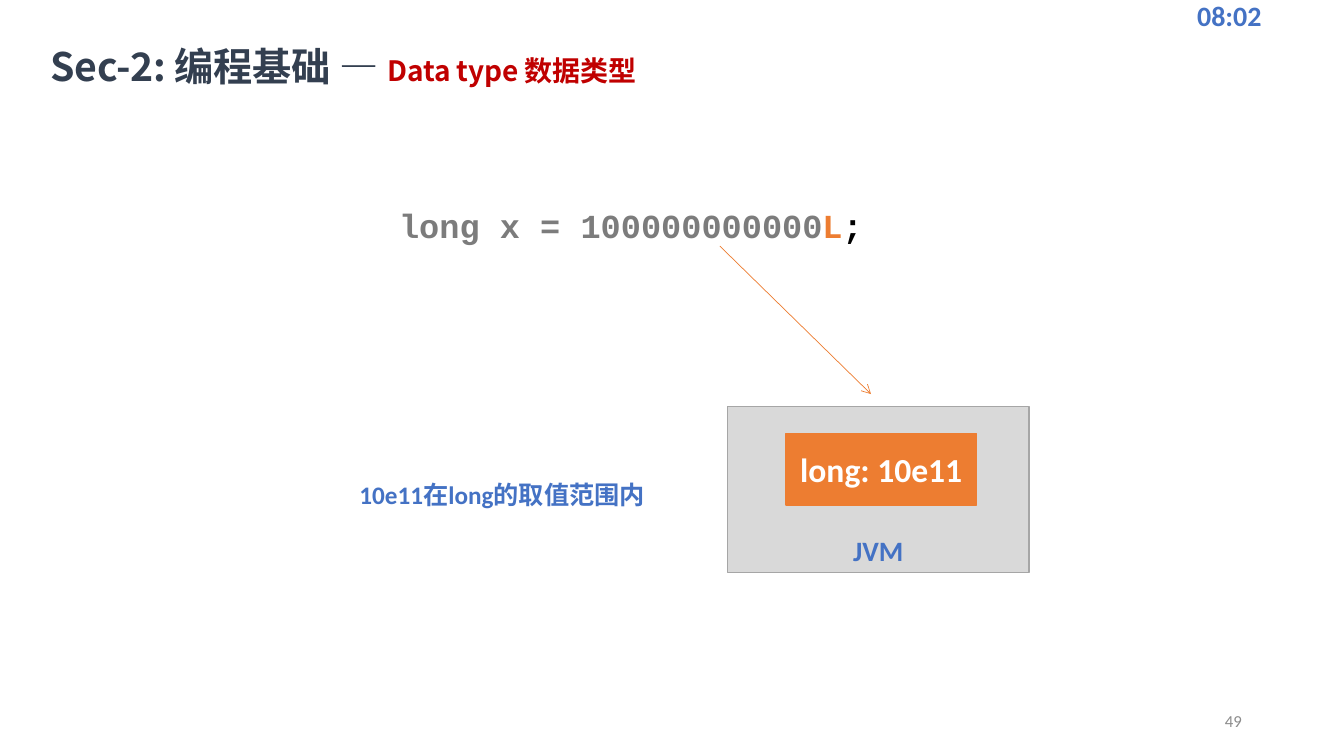
from lxml.etree import SubElement
from pptx import Presentation
from pptx.dml.color import RGBColor
from pptx.enum.shapes import MSO_CONNECTOR, MSO_SHAPE
from pptx.enum.text import MSO_ANCHOR, PP_ALIGN
from pptx.oxml.ns import qn
from pptx.util import Cm, Pt

COLORS = {
    "blue": "4472C4", "navy": "333F50", "red": "C00000", "orange": "ED7D31",
    "code": "7C7C7C", "black": "000000", "white": "FFFFFF",
    "panel": "D9D9D9", "border": "A6A6A6", "number": "8C8C8C",
}
CJK = "Noto Sans CJK SC"


def rgb(name):
    return RGBColor.from_string(COLORS[name])


def add_run(p, text, size, color, font="Calibri", bold=True):
    r = p.add_run()
    r.text = text
    r.font.size = Pt(size)
    r.font.bold = bold
    r.font.name = font
    r.font.color.rgb = rgb(color)
    SubElement(r._r.get_or_add_rPr(), qn("a:ea")).set("typeface", CJK)
    return r


def add_text(s, box, align=PP_ALIGN.LEFT, anchor=MSO_ANCHOR.TOP):
    tf = s.shapes.add_textbox(*map(Cm, box)).text_frame
    tf.word_wrap = True
    tf.vertical_anchor = anchor
    tf.paragraphs[0].alignment = align
    return tf


def add_rect(s, box, fill, line):
    sp = s.shapes.add_shape(MSO_SHAPE.RECTANGLE, *map(Cm, box))
    sp.shadow.inherit = False
    sp.fill.solid()
    sp.fill.fore_color.rgb = rgb(fill)
    sp.line.color.rgb = rgb(line)
    sp.line.width = Pt(1)
    return sp


def add_timer(s, box):
    tf = add_text(s, box, anchor=MSO_ANCHOR.MIDDLE)
    add_run(tf.paragraphs[0], "08:02", 20, "blue")


def add_page_number(s, box):
    tf = add_text(s, box, PP_ALIGN.RIGHT, MSO_ANCHOR.MIDDLE)
    add_run(tf.paragraphs[0], "49", 12, "number", bold=False)


def add_title(s, box):
    tf = add_text(s, box)
    tf.margin_left = tf.margin_right = tf.margin_top = tf.margin_bottom = 0
    p = tf.paragraphs[0]
    for text, size, color in (("Sec-2: 编程基础 — ", 28, "navy"),
                              ("Data type 数据类型", 20, "red")):
        r = add_run(p, text, size, color, CJK)
        r._r.get_or_add_rPr().set("spc", "-10")


def add_code(s, box):
    p = add_text(s, box, PP_ALIGN.CENTER).paragraphs[0]
    p.line_spacing = 1.5
    for text, color in (("long x = 100000000000", "code"), ("L", "orange"), (";", "black")):
        add_run(p, text, 24, color, "Courier New")


def add_arrow(s, start, end):
    c = s.shapes.add_connector(MSO_CONNECTOR.STRAIGHT, *map(Cm, start + end))
    c.line.color.rgb = rgb("orange")
    c.line.width = Pt(0.5)
    SubElement(c.line._get_or_add_ln(), qn("a:tailEnd")).set("type", "arrow")
    SubElement(c._element.spPr, qn("a:effectLst"))


def add_jvm(s, box):
    x, y, w, h = box
    add_rect(s, box, "panel", "border")
    label_h = 1.12
    tf = add_text(s, (x + 1.19, y + h - label_h, 5.21, label_h), PP_ALIGN.CENTER)
    add_run(tf.paragraphs[0], "JVM", 20, "blue")
    tf = add_rect(s, (x + 1.47, y + 0.69, 4.8, 1.8), "orange", "orange").text_frame
    tf.vertical_anchor = MSO_ANCHOR.MIDDLE
    tf.paragraphs[0].alignment = PP_ALIGN.CENTER
    add_run(tf.paragraphs[0], "long: 10e11", 24, "white")


def add_note(s, box):
    tf = add_text(s, box)
    add_run(tf.paragraphs[0], "10e11在long的取值范围内", 18, "blue")


def main():
    prs = Presentation()
    prs.slide_width, prs.slide_height = Cm(33.87), Cm(19.05)
    s = prs.slides.add_slide(prs.slide_layouts[6])
    add_timer(s, (29.92, -0.13, 3.95, 1.02))
    add_page_number(s, (23.93, 17.65, 7.62, 1.02))
    add_title(s, (1.27, 1.07, 16.46, 1.22))
    add_code(s, (6.5, 4.52, 18.8, 1.68))
    add_arrow(s, (18.14, 6.2), (21.95, 9.93))
    add_jvm(s, (18.34, 10.24, 7.59, 4.19))
    add_note(s, (8.81, 11.96, 8.61, 1.02))
    prs.save("out.pptx")


if __name__ == "__main__":
    main()
